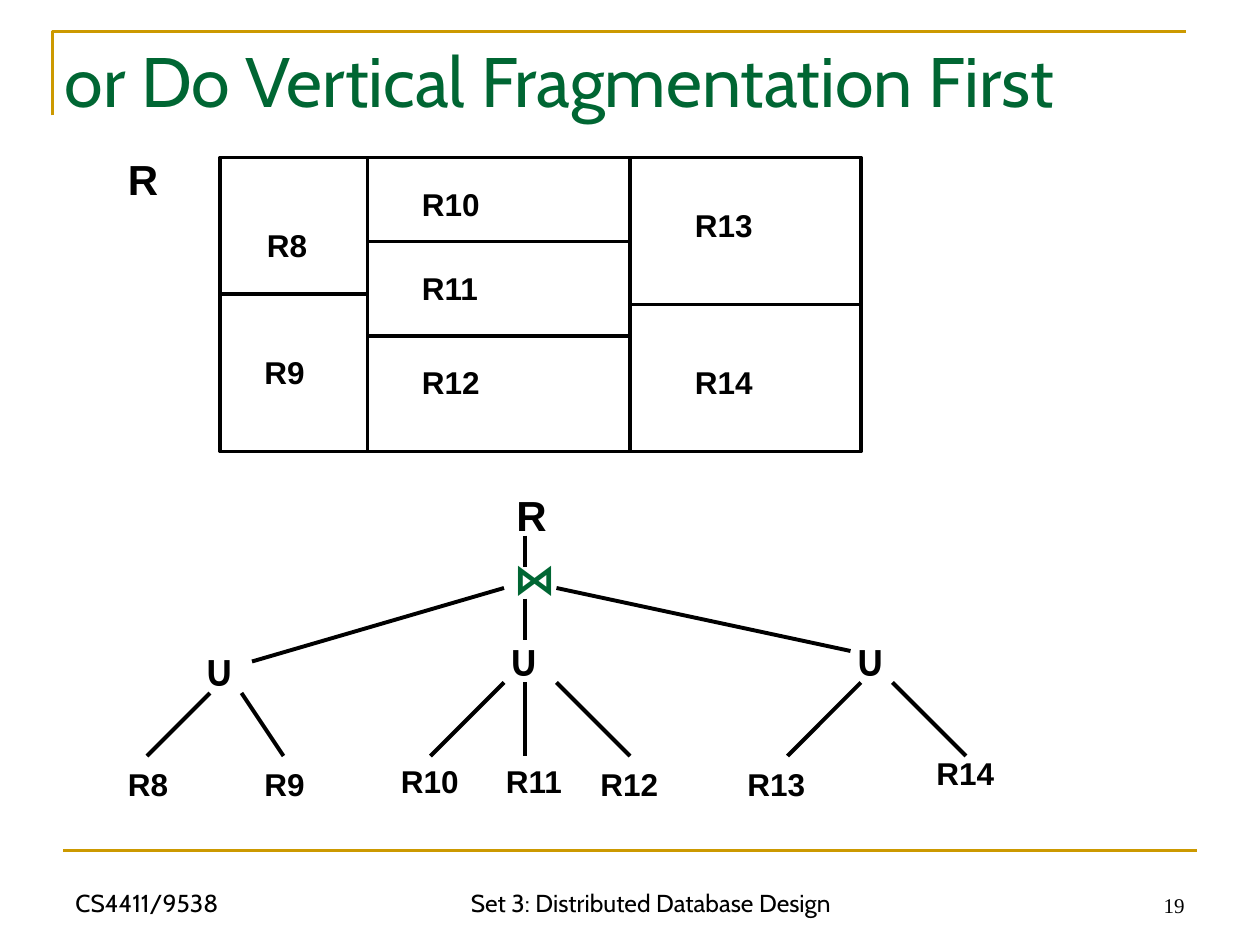
"""Build the slide on vertical fragmentation: a split relation and its tree."""
from dataclasses import dataclass
from typing import Any, Optional

from lxml import etree
from pptx import Presentation
from pptx import util as u
from pptx.dml.color import RGBColor
from pptx.enum import shapes, text
from pptx.oxml.ns import qn

LEFT, MID, RIGHT = text.PP_ALIGN.LEFT, text.PP_ALIGN.CENTER, text.PP_ALIGN.RIGHT
TOP, BASE = text.MSO_ANCHOR.TOP, text.MSO_ANCHOR.BOTTOM
GROW, FIXED = text.MSO_AUTO_SIZE.SHAPE_TO_FIT_TEXT, text.MSO_AUTO_SIZE.NONE


@dataclass(frozen=True)
class Style:
    size: float
    font: str
    color: RGBColor
    bold: bool = False
    align: Any = LEFT
    anchor: Any = TOP
    fit: Any = FIXED
    wrap: bool = True


@dataclass(frozen=True)
class Theme:
    ink = RGBColor(0, 0, 0)
    gold = RGBColor(0xCC, 0x99, 0)
    green = RGBColor(0, 0x66, 0x33)
    thin = 1.5
    thick = 2.25
    title = Style(40, "Cabin", green)
    root = Style(24, "Arial", ink, True, fit=GROW)
    piece = Style(18, "Arial", ink, True, fit=GROW)
    bowtie = Style(24, "Arial", green, True, fit=GROW)
    cup = Style(24, "Noto Sans Mono", ink, True, fit=GROW, wrap=False)
    foot = Style(14, "Cabin", ink, anchor=BASE)
    center = Style(14, "Cabin", ink, align=MID, anchor=BASE)
    page = Style(12, "Times New Roman", ink, align=RIGHT, anchor=BASE)


@dataclass(frozen=True)
class Label:
    words: str
    x: float
    y: float
    w: float
    h: float
    style: Style


@dataclass(frozen=True)
class Edge:
    x1: float
    y1: float
    x2: float
    y2: float


THEME = Theme()
X1, X2, X3, X4 = 21, 35, 60, 82
Y1, Y2 = 15, 43

CUTS = [
    Edge(X2, Y1, X2, Y2), Edge(X3, Y1, X3, Y2), Edge(X1, 28, X2, 28),
    Edge(X2, 23, X3, 23), Edge(X2, 32, X3, 32),
]
HALF = Edge(X3, 29, X4, 29)
TREE = [
    Edge(50, 51, 50, 54), Edge(50, 57, 50, 61),
    Edge(48, 56, 24, 63), Edge(53, 56, 81, 62),
    Edge(20, 66, 14, 72), Edge(23, 66, 27, 72),
    Edge(48, 65, 41, 72), Edge(50, 65, 50, 72), Edge(53, 65, 60, 72),
    Edge(82, 65, 75, 72), Edge(85, 65, 92, 72),
]
PIECES = [
    ("R8", 24.25, 20.9), ("R9", 24, 33), ("R10", 39, 17), ("R11", 39, 25),
    ("R12", 39, 34), ("R13", 65, 19), ("R14", 65, 34),
    ("R8", 11, 72.25), ("R9", 24, 72.25), ("R10", 37, 72), ("R11", 47, 72),
    ("R12", 56, 72.25), ("R13", 70, 72.25), ("R14", 88, 71.2),
]
CUPS = [(18.5, 61), (47.5, 60), (80.5, 60)]
LABELS = [
    Label("or Do Vertical Fragmentation First", 5, 3, 108, 10.3, THEME.title),
    Label("R", 11, 14, 6.7, 6, THEME.root),
    Label("R", 48, 46, 6.7, 6, THEME.root),
    Label("⋈", 47.75, 52, 7.2, 6, THEME.bowtie),
    *(Label(name, x, y, 7.7 if len(name) < 3 else 11, 4.8, THEME.piece)
      for name, x, y in PIECES),
    *(Label("∪", x, y, 5.6, 6, THEME.cup) for x, y in CUPS),
    Label("CS4411/9538", 6, 82, 28, 6, THEME.foot),
    Label("Set 3: Distributed Database Design", 41, 82, 42, 6, THEME.center),
    Label("19", 86, 82, 28, 6, THEME.page),
]


def grid(n: float) -> u.Length:
    """Turn steps of the slide grid, twelve to 2.54 cm, into a length."""
    return u.Cm(n * 2.54 / 12)


def assign(item: Any, values: dict[str, Any]) -> None:
    """Set each named value on the item."""
    for name, value in values.items():
        setattr(item, name, value)


def stroke(shape: Any, color: RGBColor, width: float) -> None:
    """Colour and size the line of a shape."""
    shape.line.color.rgb = color
    shape.line.width = u.Pt(width)


def write(slide: Any, label: Label) -> None:
    """Add one label as a text box."""
    style = label.style
    box = slide.shapes.add_textbox(*map(grid, (label.x, label.y, label.w, label.h)))
    frame = box.text_frame
    assign(frame, {"word_wrap": style.wrap, "auto_size": style.fit,
                   "vertical_anchor": style.anchor})
    para = frame.paragraphs[0]
    para.alignment = style.align
    run = para.add_run()
    run.text = label.words
    assign(run.font, {"size": u.Pt(style.size), "name": style.font,
                      "bold": style.bold})
    run.font.color.rgb = style.color


def link(slide: Any, edge: Edge, color: RGBColor = THEME.ink,
         width: float = THEME.thick, goal: Optional[Any] = None) -> None:
    """Add a straight line, joined to the right side of a goal if given."""
    line = slide.shapes.add_connector(
        shapes.MSO_CONNECTOR.STRAIGHT,
        *map(grid, (edge.x1, edge.y1, edge.x2, edge.y2)))
    stroke(line, color, width)
    etree.SubElement(line._element.spPr, qn("a:effectLst"))
    if goal is not None:
        line.end_connect(goal, 3)


def corner(slide: Any) -> None:
    """Add the open gold corner around the title."""
    pen = slide.shapes.build_freeform(grid(5), grid(11))
    pen.add_line_segments([(grid(5), grid(3)), (grid(113), grid(3))], close=False)
    shape = pen.convert_to_shape()
    shape.shadow.inherit = False
    shape.fill.background()
    stroke(shape, THEME.gold, THEME.thin)


def border(slide: Any) -> Any:
    """Add the outer box of the relation."""
    box = slide.shapes.add_shape(shapes.MSO_SHAPE.RECTANGLE,
                                 *map(grid, (X1, Y1, X4 - X1, Y2 - Y1)))
    box.shadow.inherit = False
    box.fill.background()
    stroke(box, THEME.ink, THEME.thick)
    return box


def main() -> None:
    """Build and save the deck."""
    deck = Presentation()
    assign(deck, {"slide_width": u.Cm(25.4), "slide_height": u.Cm(19.05)})
    slide = deck.slides.add_slide(deck.slide_layouts[6])
    corner(slide)
    link(slide, Edge(6, 81, 114, 81), THEME.gold, THEME.thin)
    box = border(slide)
    link(slide, HALF, goal=box)
    for edge in CUTS + TREE:
        link(slide, edge)
    for label in LABELS:
        write(slide, label)
    deck.save("out.pptx")


if __name__ == "__main__":
    main()
